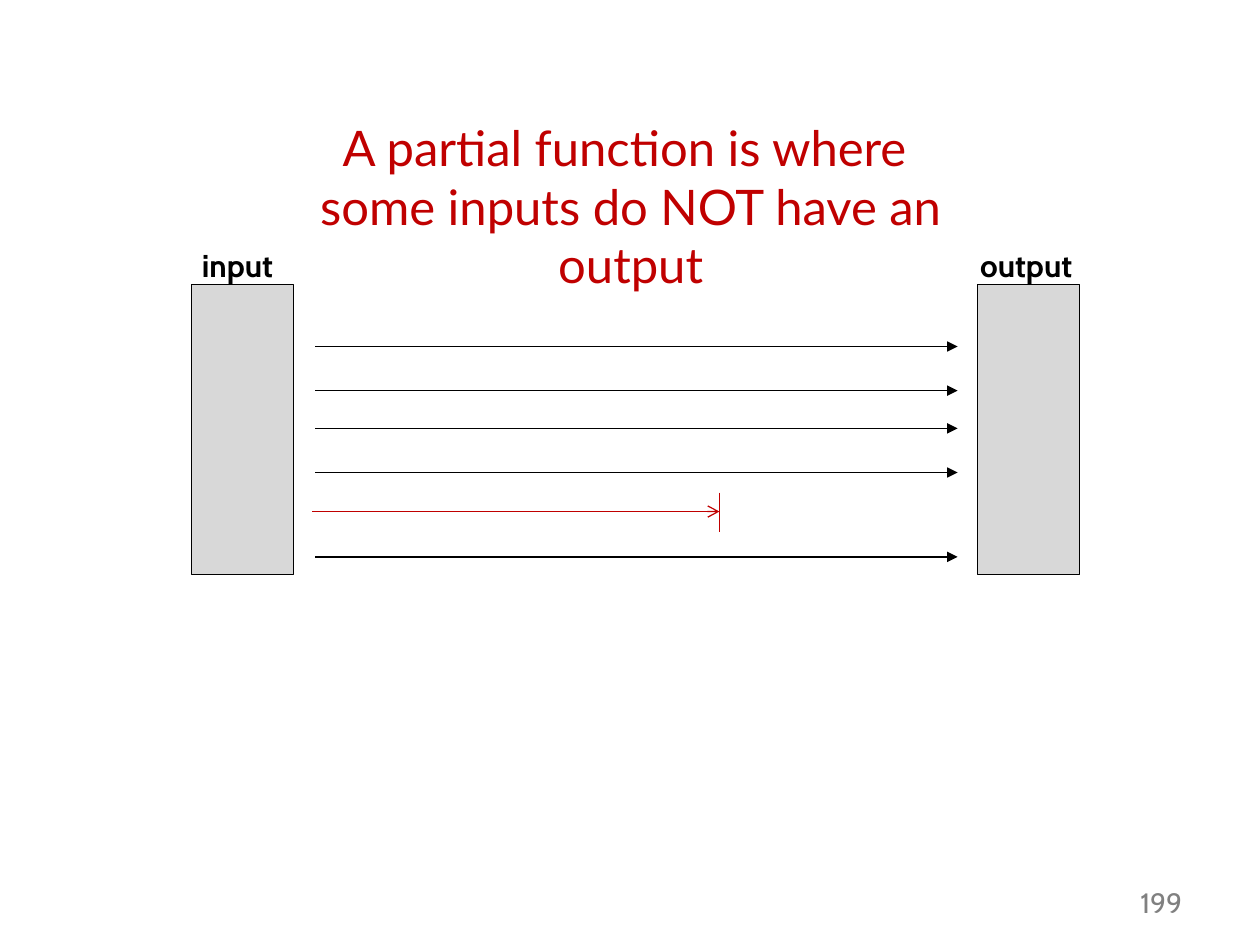
"""Build a slide showing a partial function as arrows from input to output."""
from lxml import etree
from pptx import Presentation
from pptx import util as u
from pptx.dml.color import RGBColor
from pptx.enum import shapes, text
from pptx.oxml import ns

prs = Presentation()
prs.slide_width, prs.slide_height = u.Inches(10), u.Inches(7.5)
COL, ROW = prs.slide_width / 100, prs.slide_height / 75
BLACK, RED, GREY, SILVER = "000000", "C00000", "808080", "D8D8D8"
s = prs.slides.add_slide(prs.slide_layouts[5])


def write(sp, box, words, align, color, anchor, **font):
    """Place a shape on the grid and fill it with formatted text."""
    for name, value, unit in zip(("left", "top", "width", "height"), box, (COL, ROW) * 2):
        setattr(sp, name, round(value * unit))
    tf = sp.text_frame
    frame = {"text": words, "word_wrap": True, "vertical_anchor": anchor,
             "auto_size": text.MSO_AUTO_SIZE.NONE}
    for name, value in frame.items():
        setattr(tf, name, value)
    p = tf.paragraphs[0]
    p.alignment = align
    for r in p.runs:
        for name, value in font.items():
            setattr(r.font, name, value)
        r.font.color.rgb = RGBColor.from_string(color)


def connect(x1, y1, x2, y2, color, head=None):
    """Draw a thin line between two grid points, with an optional arrowhead."""
    ends = [round(v * unit) for v, unit in zip((x1, y1, x2, y2), (COL, ROW) * 2)]
    line = s.shapes.add_connector(shapes.MSO_CONNECTOR.STRAIGHT, *ends)
    line.line.color.rgb = RGBColor.from_string(color)
    line.line.width = u.Pt(0.75)
    if head:
        etree.SubElement(line.line._get_or_add_ln(), ns.qn("a:tailEnd"), type=head)
    etree.SubElement(line._element.spPr, ns.qn("a:effectLst"))


sp = s.shapes.add_textbox(0, 0, 0, 0)
write(sp, (84.6, 69.8, 10.2, 3.7), "199", text.PP_ALIGN.RIGHT, GREY,
      text.MSO_ANCHOR.MIDDLE, name="Cabin", size=u.Pt(16))

for words, label_x, label_w, bar_x in (("input", 9.9, 17.9, 15.2), ("output", 73.6, 15.7, 77.6)):
    bar = s.shapes.add_shape(shapes.MSO_SHAPE.RECTANGLE, round(bar_x * COL), round(22.6 * ROW),
                             round(8.1 * COL), round(23 * ROW))
    bar.shadow.inherit = False
    bar.fill.solid()
    bar.fill.fore_color.rgb = RGBColor.from_string(SILVER)
    bar.line.color.rgb = RGBColor.from_string(BLACK)
    bar.line.width = u.Pt(0.75)

    label = s.shapes.add_shape(shapes.MSO_SHAPE.ROUNDED_RECTANGLE, 0, 0, 0, 0)
    label.shadow.inherit = False
    label.fill.background()
    label.line.fill.background()
    for side in ("left", "top", "right", "bottom"):
        setattr(label.text_frame, f"margin_{side}", 0)
    write(label, (label_x, 19.3, label_w, 4.3), words, text.PP_ALIGN.CENTER, BLACK,
          text.MSO_ANCHOR.TOP, name="Cabin", size=u.Pt(18), bold=True)

for y in (27.5, 31, 34, 37.5, 44.2):
    connect(25, y, 76, y, BLACK, "triangle")

write(s.shapes.title, (21.3, 8.8, 57.5, 10.4),
      "A partial function is where \vsome inputs do NOT have an output",
      text.PP_ALIGN.CENTER, RED, text.MSO_ANCHOR.TOP, name="Lato", size=u.Pt(28))

connect(24.8, 40.6, 57.1, 40.6, RED, "arrow")
connect(57.1, 39.1, 57.1, 42.2, RED)

prs.save("out.pptx")
